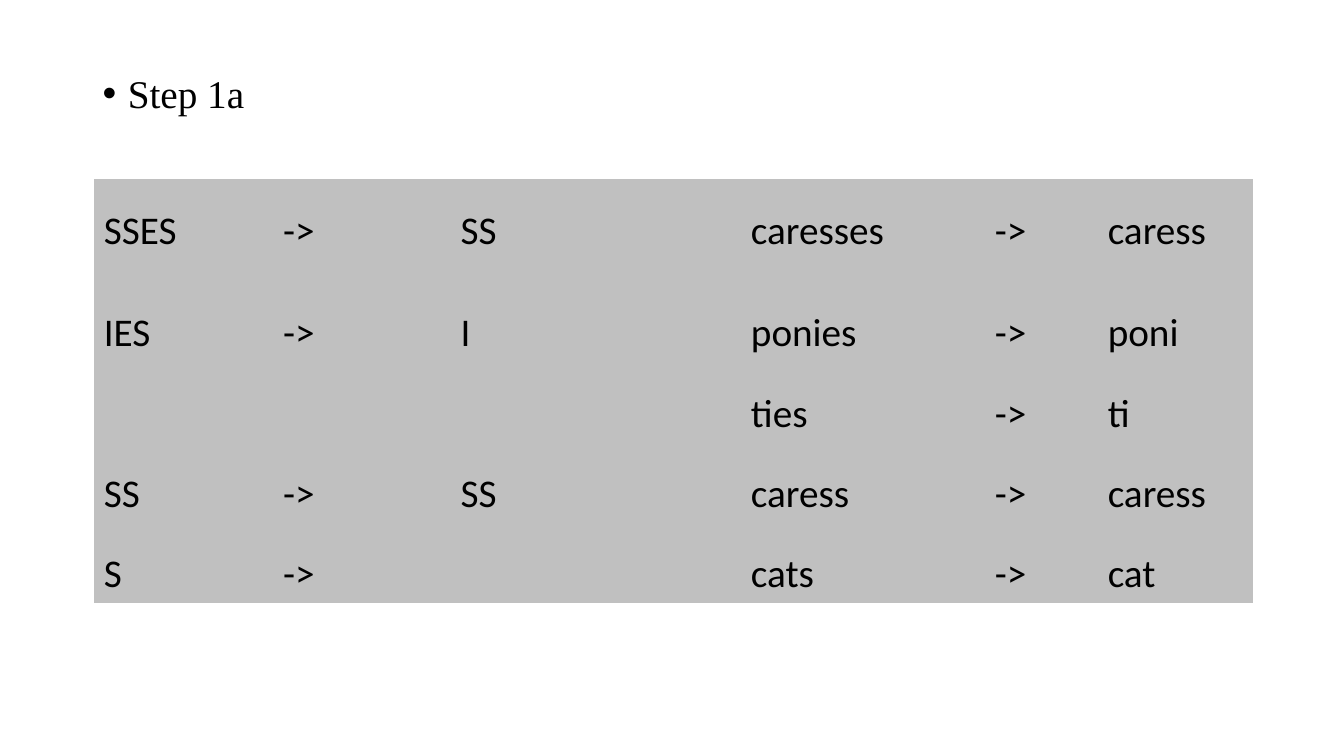
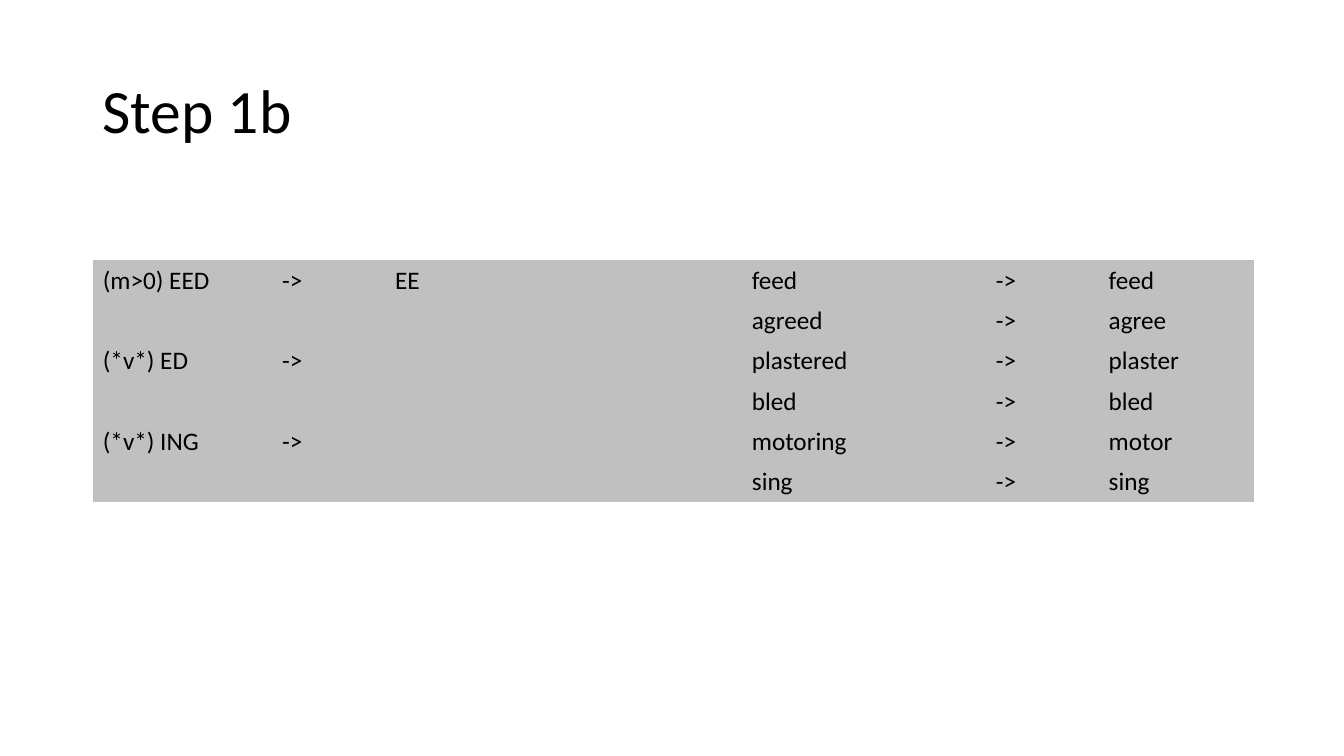
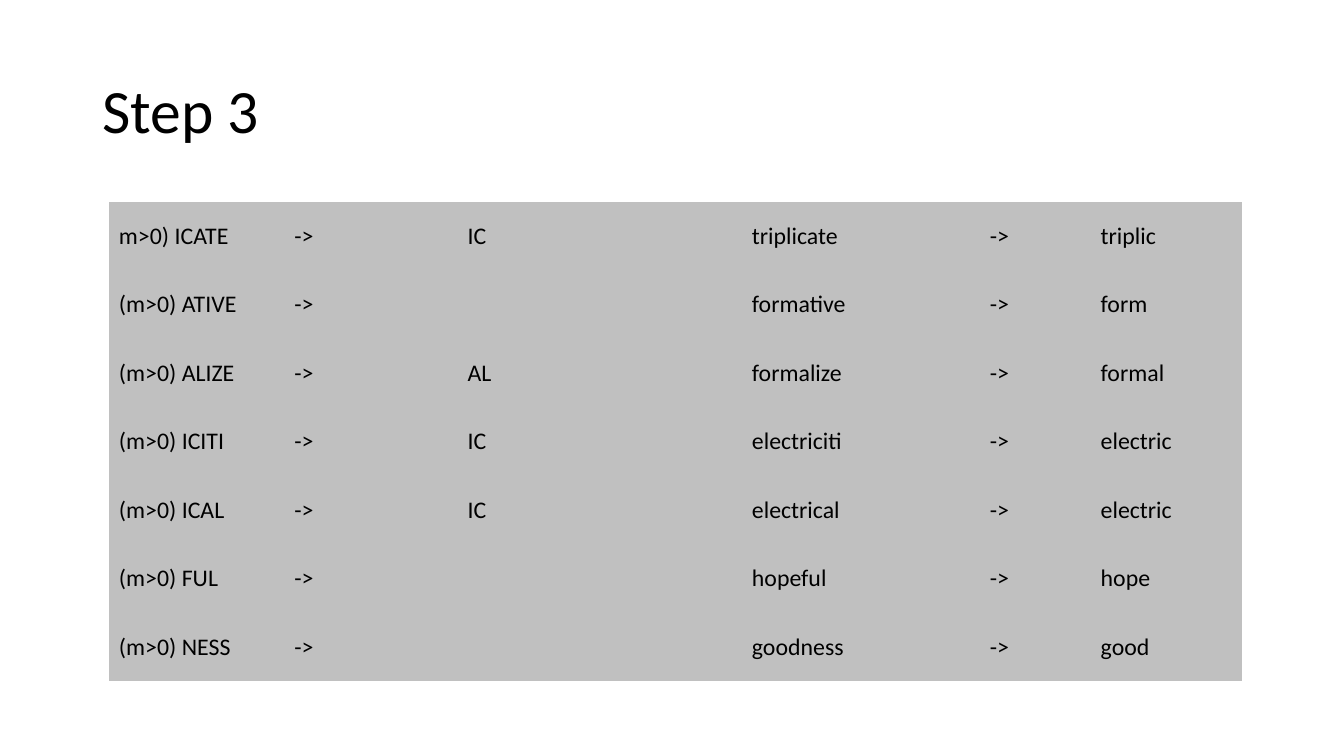
import pptx
import pptx.dml.color
import pptx.enum.text
import pptx.oxml
import pptx.oxml.ns
import pptx.util
from pptx.util import Inches

BLACK = pptx.dml.color.RGBColor(0x00, 0x00, 0x00)
SILVER = pptx.dml.color.RGBColor(0xC0, 0xC0, 0xC0)
PLAIN_TABLE_STYLE = "{2D5ABB26-0587-4C30-8999-92F81FD0307C}"
MIDDLE = pptx.enum.text.MSO_ANCHOR.MIDDLE
TOP = pptx.enum.text.MSO_ANCHOR.TOP
ARROW = "->"

presentation = pptx.Presentation()
presentation.slide_width = Inches(13.33)
presentation.slide_height = Inches(7.5)


def write_text(text_frame, text, size, font="Calibri", line_spacing=None, bullet=False):
    paragraph = text_frame.paragraphs[0]
    if line_spacing:
        paragraph.line_spacing = line_spacing
    if bullet:
        paragraph.space_before = pptx.util.Pt(10)
        properties = paragraph._p.get_or_add_pPr()
        properties.set("marL", str(Inches(0.25)))
        properties.set("indent", str(Inches(-0.25)))
        for tag, attribute, value in (("a:buFont", "typeface", "Arial"), ("a:buChar", "char", "•")):
            element = pptx.oxml.parse_xml(f"<{tag} {pptx.oxml.ns.nsdecls('a')}/>")
            element.set(attribute, value)
            properties.append(element)
    run = paragraph.add_run()
    run.text = text
    run.font.size = pptx.util.Pt(size)
    run.font.name = font
    run.font.color.rgb = BLACK


title_format = {"size": 44, "line_spacing": 0.9}
steps = [
    {
        "heading": "Step 1a",
        "heading_box": (0.92, 0.69, 11.5, 6.07),
        "heading_anchor": TOP,
        "heading_format": {"size": 28, "font": "Times New Roman", "line_spacing": 0.9, "bullet": True},
        "table_corner": (0.93, 1.78),
        "columns": [1.54, 0.23, 0.88, 0.88, 0.88, 0.28, 1.48, 0.23, 1.54, 0.88, 0.88, 0.23, 1.54],
        "row_heights": [1.02, 1.02, 0.57, 1.02, 0.57],
        "size": 28,
        "rules": [
            ("SSES", "SS", "caresses", "caress"),
            ("IES", "I", "ponies", "poni"),
            ("", "", "ties", "ti"),
            ("SS", "SS", "caress", "caress"),
            ("S", "", "cats", "cat"),
        ],
    },
    {
        "heading": "Step 1b",
        "heading_box": (0.92, 0.4, 11.5, 1.45),
        "heading_anchor": MIDDLE,
        "heading_format": title_format,
        "table_corner": (0.92, 2.58),
        "columns": [1.54, 0.23, 0.88, 0.23, 1.54, 0.88, 0.88, 0.23, 1.54, 0.88, 0.88, 0.23, 1.54],
        "row_heights": [0.4] * 6,
        "size": 18,
        "rules": [
            ("(m>0) EED", "EE", "feed", "feed"),
            ("", "", "agreed", "agree"),
            ("(*v*) ED", "", "plastered", "plaster"),
            ("", "", "bled", "bled"),
            ("(*v*) ING", "", "motoring", "motor"),
            ("", "", "sing", "sing"),
        ],
    },
    {
        "heading": "Step 3",
        "heading_box": (0.92, 0.4, 11.5, 1.45),
        "heading_anchor": MIDDLE,
        "heading_format": title_format,
        "table_corner": (1.08, 2),
        "columns": [1.5, 0.22, 0.86, 0.86, 0.86, 0.86, 0.86, 0.22, 1.5, 0.86, 0.86, 0.22, 1.5],
        "row_heights": [0.68] * 7,
        "size": 17,
        "rules": [
            ("m>0) ICATE", "IC", "triplicate", "triplic"),
            ("(m>0) ATIVE", "", "formative", "form"),
            ("(m>0) ALIZE", "AL", "formalize", "formal"),
            ("(m>0) ICITI", "IC", "electriciti", "electric"),
            ("(m>0) ICAL", "IC", "electrical", "electric"),
            ("(m>0) FUL", "", "hopeful", "hope"),
            ("(m>0) NESS", "", "goodness", "good"),
        ],
    },
]

for step in steps:
    slide = presentation.slides.add_slide(presentation.slide_layouts[6])
    heading = slide.shapes.add_textbox(*[Inches(length) for length in step["heading_box"]])
    heading.text_frame.word_wrap = True
    heading.text_frame.vertical_anchor = step["heading_anchor"]
    write_text(heading.text_frame, step["heading"], **step["heading_format"])

    left, top = step["table_corner"]
    columns, row_heights = step["columns"], step["row_heights"]
    table = slide.shapes.add_table(
        len(row_heights), len(columns), Inches(left), Inches(top),
        Inches(sum(columns)), Inches(sum(row_heights)),
    ).table
    table.first_row = False
    table.horz_banding = False
    table._tbl.tblPr.find(pptx.oxml.ns.qn("a:tableStyleId")).text = PLAIN_TABLE_STYLE
    for column, width in zip(table.columns, columns):
        column.width = Inches(width)
    for row, height, rule in zip(table.rows, row_heights, step["rules"]):
        row.height = Inches(height)
        suffix, replacement, word, stem = rule
        texts = {0: suffix, 2: ARROW if suffix else "", 4: replacement, 8: word, 10: ARROW, 12: stem}
        for index, cell in enumerate(row.cells):
            cell.fill.solid()
            cell.fill.fore_color.rgb = SILVER
            cell.vertical_anchor = MIDDLE
            if texts.get(index):
                write_text(cell.text_frame, texts[index], size=step["size"])

presentation.save("out.pptx")
